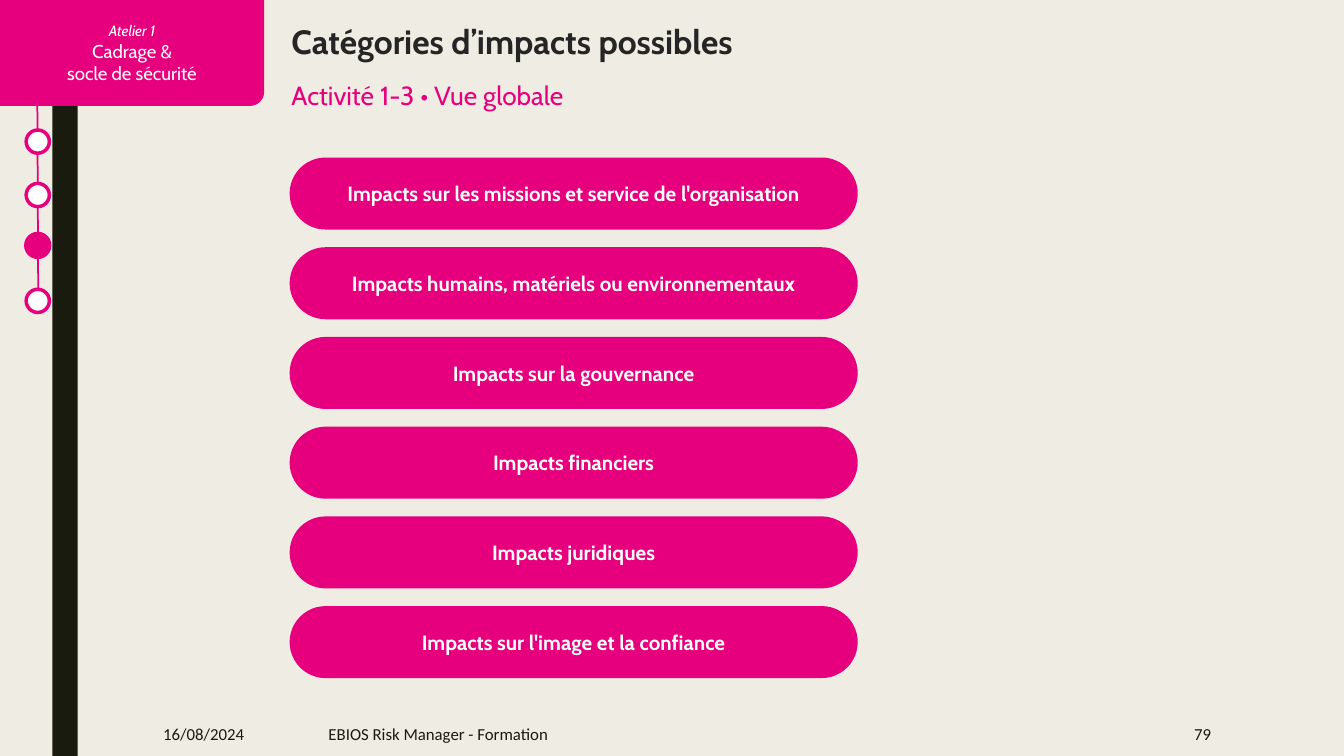
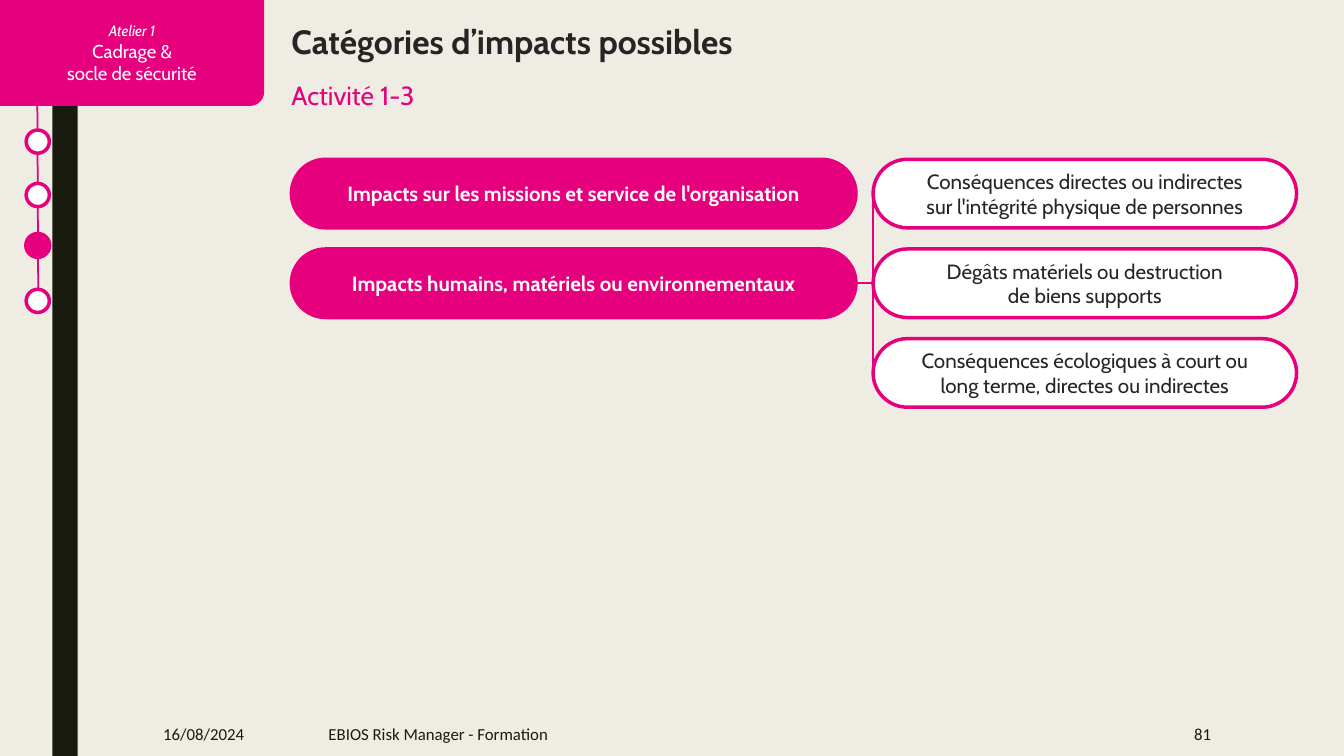
import math
from dataclasses import dataclass

from lxml import etree
from pptx import Presentation
from pptx.dml.color import RGBColor
from pptx.enum import shapes, text
from pptx.oxml import ns
from pptx.util import Inches, Pt

COLORS = {
    "background": "EFEDE3",
    "band": "191B0E",
    "accent": "E6007E",
    "pill": "E7007E",
    "white": "FFFFFF",
    "ink": "252525",
}
CENTER, LEFT, RIGHT = text.PP_ALIGN.CENTER, text.PP_ALIGN.LEFT, text.PP_ALIGN.RIGHT
TOP, MIDDLE = text.MSO_ANCHOR.TOP, text.MSO_ANCHOR.MIDDLE
OVAL = shapes.MSO_SHAPE.OVAL
PILL = shapes.MSO_SHAPE.ROUNDED_RECTANGLE

# Pill grid
PILL_TOP, PILL_STEP, PILL_H = 1.58, 0.89, 0.68
CATEGORY_X, CATEGORY_W = 2.89, 5.6
DETAIL_X, DETAIL_W = 8.66, 4.2

# Progress marker and corner tab
STEP_TOPS = (1.29, 1.82, 2.32, 2.87)
CURRENT_STEP = 2
TAB_W, TAB_H, TAB_R = 2.62, 1.05, 0.14


@dataclass(frozen=True)
class Style:
    size: float
    color: str
    font: str = "Cabin"
    bold: bool = False
    italic: bool = False


@dataclass(frozen=True)
class Label:
    """A text box; box is left, top, width, height in inches."""
    box: tuple[float, float, float, float]
    style: Style
    align: text.PP_ALIGN = LEFT
    anchor: text.MSO_ANCHOR = TOP
    margins: tuple[float, float] = (0, 0)


@dataclass(frozen=True)
class Page:
    number: str
    subtitle: str
    categories: tuple[str, ...]
    details: tuple[tuple[str, ...], ...] = ()
    detailed_row: int = 0


FOOTER = Style(12, "band", "Calibri")
TAB_SMALL = Style(10.7, "white", italic=True)
TAB_LARGE = Style(13.3, "white")
CATEGORY = Style(14.7, "white", bold=True)
DETAIL = Style(14.7, "ink")

TITLE_BOX = Label((2.89, 0.21, 9.97, 0.4), Style(24, "ink", bold=True))
SUBTITLE_BOX = Label((2.89, 0.79, 9.39, 0.31), Style(18.7, "accent"))
DATE_BOX = Label((1.52, 7.06, 1.32, 0.44), FOOTER, LEFT, MIDDLE, (0.1, 0.05))
NAME_BOX = Label((3.16, 7.06, 6.87, 0.44), FOOTER, LEFT, MIDDLE, (0.1, 0.05))
NUMBER_BOX = Label((10.36, 7.06, 1.75, 0.44), FOOTER, RIGHT, MIDDLE, (0.1, 0.05))

IMPACTS = (
    "Impacts sur les missions et service de l'organisation",
    "Impacts humains, matériels ou environnementaux",
    "Impacts sur la gouvernance",
    "Impacts financiers",
    "Impacts juridiques",
    "Impacts sur l'image et la confiance",
)
PAGES = (
    Page("79", "Activité 1-3 • Vue globale", IMPACTS),
    Page(
        "81", "Activité 1-3", IMPACTS[:2],
        (
            ("Conséquences directes ou indirectes", "sur l'intégrité physique de personnes"),
            ("Dégâts matériels ou destruction", "de biens supports"),
            ("Conséquences écologiques à court ou", "long terme, directes ou indirectes"),
        ),
        detailed_row=1,
    ),
)


def rgb(name: str) -> RGBColor:
    return RGBColor.from_string(COLORS[name])


def write(sp, lines: list[tuple[str, Style]], align=CENTER, anchor=MIDDLE,
          margins: tuple[float, float] = (0.1, 0.05)) -> None:
    """Write one paragraph per line, each with its own style."""
    tf = sp.text_frame
    tf.word_wrap = True
    tf.vertical_anchor = anchor
    tf.margin_left = tf.margin_right = Inches(margins[0])
    tf.margin_top = tf.margin_bottom = Inches(margins[1])
    for i, (line, style) in enumerate(lines):
        p = tf.add_paragraph() if i else tf.paragraphs[0]
        p.alignment = align
        r = p.add_run()
        r.text = line
        r.font.name = style.font
        r.font.size = Pt(style.size)
        r.font.bold = style.bold
        r.font.italic = style.italic
        r.font.color.rgb = rgb(style.color)


def add_label(s, label: Label, content: str) -> None:
    sp = s.shapes.add_textbox(*map(Inches, label.box))
    write(sp, [(content, label.style)], label.align, label.anchor, label.margins)


def paint(sp, fill: str, line: str = "", width: float = 2.5) -> None:
    sp.shadow.inherit = False
    sp.fill.solid()
    sp.fill.fore_color.rgb = rgb(fill)
    if line:
        sp.line.color.rgb = rgb(line)
        sp.line.width = Pt(width)
    else:
        sp.line.fill.background()


def add_line(s, x1: float, y1: float, x2: float, y2: float, color: str, width: float) -> None:
    line = s.shapes.add_connector(shapes.MSO_CONNECTOR.STRAIGHT, *map(Inches, (x1, y1, x2, y2)))
    line.line.color.rgb = rgb(color)
    line.line.width = Pt(width)
    etree.SubElement(line._element.spPr, ns.qn("a:effectLst"))


def add_pill(s, row: int, x: float, w: float, fill: str, lines: tuple[str, ...],
             style: Style, margins: tuple[float, float]) -> None:
    top = PILL_TOP + row * PILL_STEP
    sp = s.shapes.add_shape(PILL, Inches(x), Inches(top), Inches(w), Inches(PILL_H))
    sp.adjustments[0] = 0.5
    paint(sp, fill, "pill")
    write(sp, [(line, style) for line in lines], margins=margins)


def add_tab(s) -> None:
    """Corner tab whose bottom right corner is rounded."""
    cx, cy = TAB_W - TAB_R, TAB_H - TAB_R
    angles = [math.radians(a) for a in range(0, 91, 6)]
    arc = [(cx + TAB_R * math.cos(a), cy + TAB_R * math.sin(a)) for a in angles]
    outline = [(TAB_W, 0), *arc, (0, TAB_H)]
    builder = s.shapes.build_freeform(0, 0, scale=1.0)
    builder.add_line_segments([(Inches(x), Inches(y)) for x, y in outline], close=True)
    sp = builder.convert_to_shape()
    paint(sp, "accent")
    write(sp, [("Atelier 1", TAB_SMALL), ("Cadrage &", TAB_LARGE),
               ("socle de sécurité", TAB_LARGE)])


def add_frame(s, page: Page) -> None:
    """Draw what every slide shares."""
    s.background.fill.solid()
    s.background.fill.fore_color.rgb = rgb("background")

    # Side band and progress marker
    band = s.shapes.add_shape(shapes.MSO_SHAPE.RECTANGLE,
                              Inches(0.52), 0, Inches(0.25), Inches(7.5))
    paint(band, "band")
    add_line(s, 0.37, 0.89, 0.38, 3.1, "accent", 1.25)
    for i, top in enumerate(STEP_TOPS):
        current = i == CURRENT_STEP
        dot = s.shapes.add_shape(OVAL, Inches(0.26), Inches(top), Inches(0.23), Inches(0.23))
        paint(dot, "accent" if current else "white", "accent", 3 if current else 2.5)
    add_tab(s)

    # Titles and footer
    add_label(s, TITLE_BOX, "Catégories d’impacts possibles")
    add_label(s, SUBTITLE_BOX, page.subtitle)
    add_label(s, DATE_BOX, "16/08/2024")
    add_label(s, NAME_BOX, "EBIOS Risk Manager - Formation")
    add_label(s, NUMBER_BOX, page.number)


def add_details(s, page: Page) -> None:
    """Draw the detail pills and the bracket that ties them to their category."""
    for row, lines in enumerate(page.details):
        add_pill(s, row, DETAIL_X, DETAIL_W, "white", lines, DETAIL, (0.05, 0))
    first = PILL_TOP + PILL_H / 2
    last = first + (len(page.details) - 1) * PILL_STEP
    middle = first + page.detailed_row * PILL_STEP
    add_line(s, DETAIL_X, first, DETAIL_X, last, "pill", 1.5)
    add_line(s, CATEGORY_X + CATEGORY_W, middle, DETAIL_X, middle, "pill", 1.5)


def main() -> None:
    prs = Presentation()
    prs.slide_width, prs.slide_height = Inches(13.33), Inches(7.5)
    for page in PAGES:
        s = prs.slides.add_slide(prs.slide_layouts[6])
        add_frame(s, page)
        for row, category in enumerate(page.categories):
            add_pill(s, row, CATEGORY_X, CATEGORY_W, "pill", (category,), CATEGORY, (0.1, 0.05))
        if page.details:
            add_details(s, page)
    prs.save("out.pptx")


if __name__ == "__main__":
    main()
